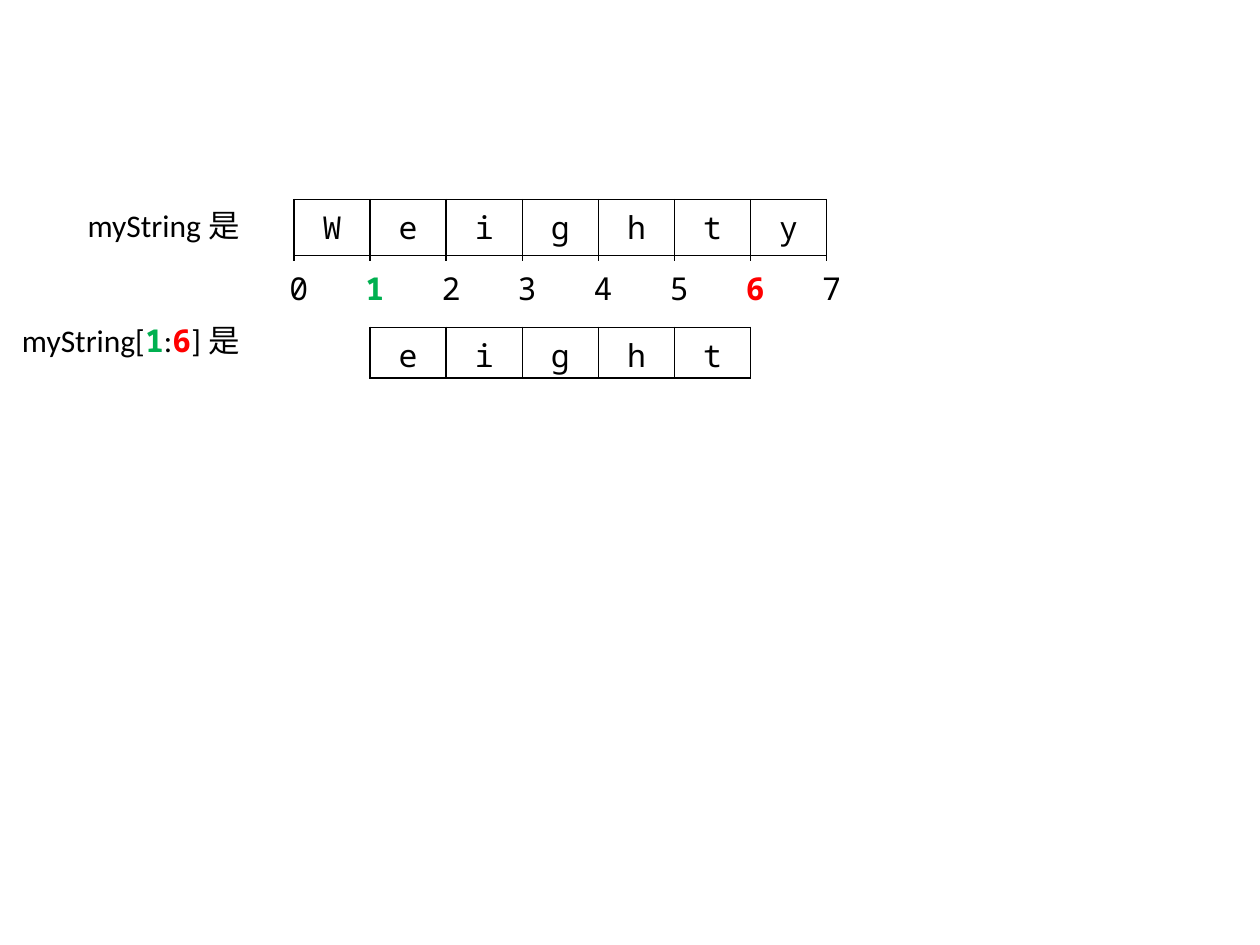
from lxml.etree import SubElement
from pptx import Presentation
from pptx.dml.color import RGBColor
from pptx.enum.text import PP_ALIGN
from pptx.oxml.ns import qn
from pptx.util import Pt

BLACK = RGBColor(0x00, 0x00, 0x00)
WHITE = RGBColor(0xFF, 0xFF, 0xFF)
GREEN = RGBColor(0x00, 0xB0, 0x50)
RED = RGBColor(0xFF, 0x00, 0x00)
PLAIN_TABLE_STYLE = "{2D5ABB26-0587-4C30-8999-92F81FD0307C}"
COLUMN_COUNT = 8
COLUMN_WIDTH = 43.5
STRING_LEFT = 168
LABEL_RIGHT = 144
TEXT = {"name": "Calibri", "size": Pt(18), "bold": False, "color": BLACK}
CODE = {**TEXT, "name": "Noto Sans Mono"}
START = {**CODE, "bold": True, "color": GREEN}
STOP = {**CODE, "bold": True, "color": RED}


def add_run(paragraph, text, text_format):
    """Append a run and set its font from a dict of format values."""
    run = paragraph.add_run()
    run.text = text
    for name, value in text_format.items():
        if name == "color":
            run.font.color.rgb = value
        else:
            setattr(run.font, name, value)


def add_label(slide, left, top, runs):
    """Add a right-aligned label that ends at the common label edge."""
    box = slide.shapes.add_textbox(Pt(left), Pt(top), Pt(LABEL_RIGHT - left), Pt(29))
    box.text_frame.word_wrap = True
    paragraph = box.text_frame.paragraphs[0]
    paragraph.alignment = PP_ALIGN.RIGHT
    for text, text_format in runs:
        add_run(paragraph, text, text_format)


def add_row_table(slide, left, top, row_heights):
    """Add an unstyled table with equal columns and return it."""
    frame = slide.shapes.add_table(
        len(row_heights), COLUMN_COUNT, Pt(left), Pt(top),
        Pt(COLUMN_COUNT * COLUMN_WIDTH), Pt(sum(row_heights)))
    table = frame.table
    table.first_row = table.horz_banding = False
    table._tbl.tblPr.find(qn("a:tableStyleId")).text = PLAIN_TABLE_STYLE
    for column in table.columns:
        column.width = Pt(COLUMN_WIDTH)
    for row, height in zip(table.rows, row_heights):
        row.height = Pt(height)
    return table


def write_cell(cell, text, text_format):
    """Write centred text into a cell."""
    paragraph = cell.text_frame.paragraphs[0]
    paragraph.alignment = PP_ALIGN.CENTER
    add_run(paragraph, text, text_format)


def add_borders(cell):
    """Draw a thin black line on all four sides of a cell."""
    properties = cell._tc.get_or_add_tcPr()
    for side in ("a:lnL", "a:lnR", "a:lnT", "a:lnB"):
        line = SubElement(properties, qn(side), w=str(Pt(1)))
        fill = SubElement(line, qn("a:solidFill"))
        SubElement(fill, qn("a:srgbClr"), val=str(BLACK))


def add_letters(slide, top, letters, first_column, row_heights):
    """Add a string as boxed letters, with any further rows as tick marks."""
    table = add_row_table(slide, STRING_LEFT, top, row_heights)
    for column, letter in enumerate(letters, first_column):
        write_cell(table.cell(0, column), letter, CODE)
        for row in range(len(row_heights)):
            add_borders(table.cell(row, column))


def add_indexes(slide, left, top, highlights):
    """Add the white strip of index numbers below the string."""
    table = add_row_table(slide, left, top, [34])
    for index in range(COLUMN_COUNT):
        cell = table.cell(0, index)
        cell.fill.solid()
        cell.fill.fore_color.rgb = WHITE
        write_cell(cell, str(index), highlights.get(index, CODE))


def main():
    """Build the string slicing slide."""
    presentation = Presentation()
    presentation.slide_width, presentation.slide_height = Pt(720), Pt(540)
    slide = presentation.slides.add_slide(presentation.slide_layouts[6])
    add_letters(slide, 114, "Weighty", 0, [32, 26])
    add_indexes(slide, 149, 149, {1: START, 6: STOP})
    add_label(slide, 18, 114, [("myString 是", TEXT)])
    add_label(slide, 0, 180, [("myString[", TEXT), ("1", START), (":", TEXT),
                              ("6", STOP), ("] 是", TEXT)])
    add_letters(slide, 187, "eight", 1, [29])
    presentation.save("out.pptx")


if __name__ == "__main__":
    main()
